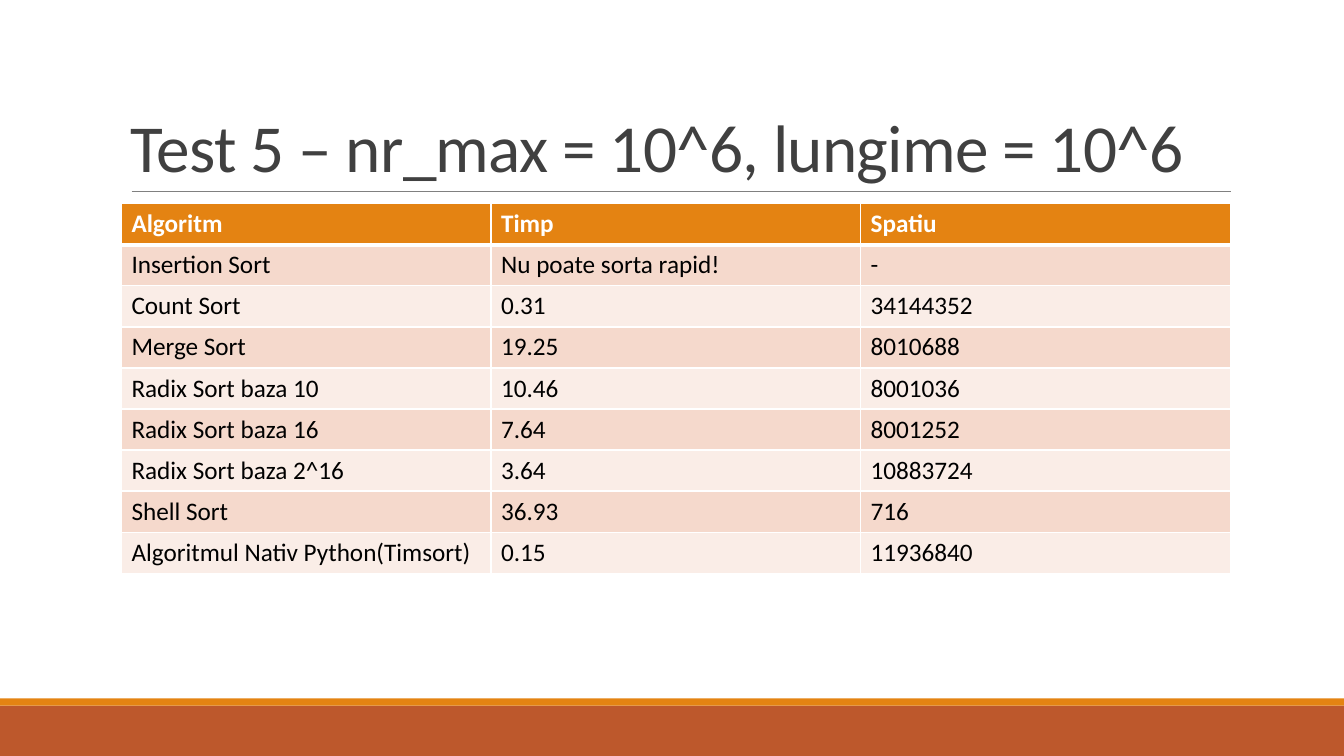
from dataclasses import dataclass

from lxml.etree import SubElement
from pptx import Presentation
from pptx.dml.color import RGBColor as RGB
from pptx.enum.shapes import MSO_CONNECTOR as CONN, MSO_SHAPE as SHAPE
from pptx.enum.text import MSO_ANCHOR as ANCHOR
from pptx.oxml.ns import qn
from pptx.util import Pt


@dataclass(frozen=True)
class Theme:
    font: str = "Calibri"
    title_size: float = 48
    table_size: float = 18
    title: str = "404040"
    body: str = "000000"
    white: str = "FFFFFF"
    rule: str = "808080"
    orange: str = "E48312"
    rust: str = "BD582C"
    bands: tuple = ("F5D9CC", "FAEDE7")


ROWS = [
    ("Algoritm", "Timp", "Spatiu"),
    ("Insertion Sort", "Nu poate sorta rapid!", "-"),
    ("Count Sort", "0.31", "34144352"),
    ("Merge Sort", "19.25", "8010688"),
    ("Radix Sort baza 10", "10.46", "8001036"),
    ("Radix Sort baza 16", "7.64", "8001252"),
    ("Radix Sort baza 2^16", "3.64", "10883724"),
    ("Shell Sort", "36.93", "716"),
    ("Algoritmul Nativ Python(Timsort)", "0.15", "11936840"),
]


class SlideBuilder:
    def __init__(self, slide, theme):
        self.shapes = slide.shapes
        self.theme = theme

    def add_run(self, p, text, size, color, bold=False):
        r = p.add_run()
        r.text = text
        r.font.name = self.theme.font
        r.font.size = Pt(size)
        r.font.bold = bold
        r.font.color.rgb = RGB.from_string(color)
        return r

    def band(self, x, y, w, h, color):
        sp = self.shapes.add_shape(SHAPE.RECTANGLE, Pt(x), Pt(y), Pt(w), Pt(h))
        sp.shadow.inherit = False
        sp.fill.solid()
        sp.fill.fore_color.rgb = RGB.from_string(color)
        sp.line.fill.background()

    def rule(self, x1, x2, y):
        line = self.shapes.add_connector(CONN.STRAIGHT, Pt(x1), Pt(y), Pt(x2), Pt(y))
        line.line.color.rgb = RGB.from_string(self.theme.rule)
        line.line.width = Pt(0.5)
        SubElement(line._element.spPr, qn("a:effectLst"))

    def title(self, x, y, w, h, text):
        tf = self.shapes.add_textbox(Pt(x), Pt(y), Pt(w), Pt(h)).text_frame
        tf.word_wrap = True
        tf.vertical_anchor = ANCHOR.BOTTOM
        p = tf.paragraphs[0]
        p.line_spacing = 0.85
        r = self.add_run(p, text, self.theme.title_size, self.theme.title)
        r.font._element.set("spc", "-50")

    def borders(self, cell, **widths):
        """Draw white cell edges; widths are in points, keyed L, R, T, B."""
        for side, width in widths.items():
            ln = SubElement(cell._tc.get_or_add_tcPr(), qn(f"a:ln{side}"), w=str(Pt(width)))
            fill = SubElement(ln, qn("a:solidFill"))
            SubElement(fill, qn("a:srgbClr"), val=self.theme.white)

    def table(self, x, y, w, h, rows):
        t = self.theme
        frame = self.shapes.add_table(len(rows), len(rows[0]), Pt(x), Pt(y), Pt(w), Pt(h))
        for i, (row, values) in enumerate(zip(frame.table.rows, rows)):
            header = i == 0
            fill = t.orange if header else t.bands[(i - 1) % 2]
            for cell, text in zip(row.cells, values):
                self.borders(cell, L=1, R=1, T=3 if i == 1 else 1, B=3 if header else 1)
                cell.fill.solid()
                cell.fill.fore_color.rgb = RGB.from_string(fill)
                color = t.white if header else t.body
                p = cell.text_frame.paragraphs[0]
                self.add_run(p, text, t.table_size, color, bold=header)


def main():
    prs = Presentation()
    prs.slide_width, prs.slide_height = Pt(960), Pt(540)
    theme = Theme()
    s = SlideBuilder(prs.slides.add_slide(prs.slide_layouts[6]), theme)
    s.band(0, 504, 960, 36, theme.rust)
    s.band(0, 498.75, 960, 5.25, theme.orange)
    s.rule(94, 879, 136.8)
    s.title(86.4, 22.5, 792, 114.25, "Test 5 – nr_max = 10^6, lungime = 10^6")
    s.table(86.75, 145.6, 792, 264, ROWS)
    prs.save("out.pptx")


if __name__ == "__main__":
    main()
